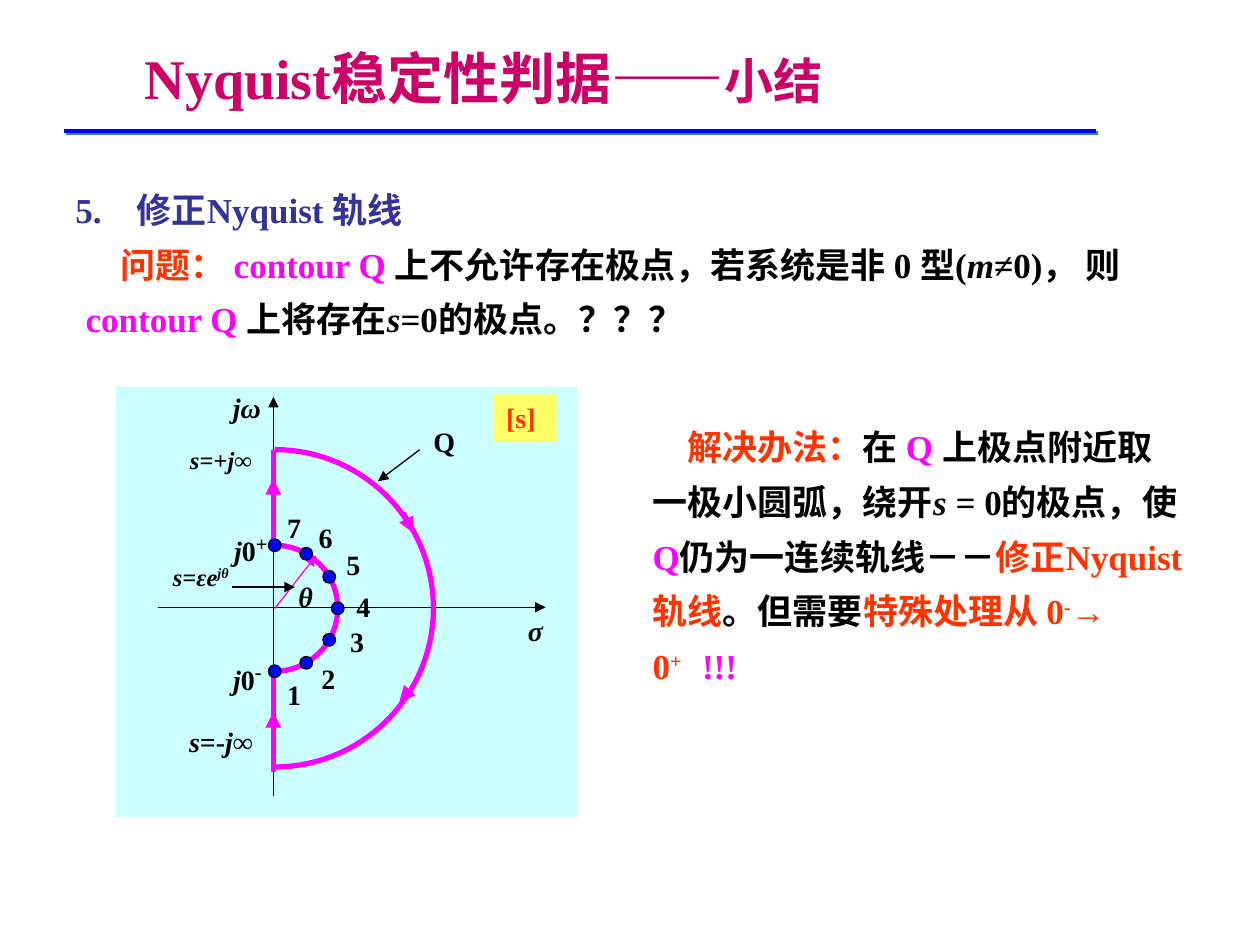
import math
import lxml.etree
import pptx
import pptx.dml.color
import pptx.enum.shapes
import pptx.enum.text
import pptx.oxml.ns
import pptx.util

Pt = pptx.util.Pt
qn = pptx.oxml.ns.qn
SHAPES = pptx.enum.shapes.MSO_SHAPE
ALIGN = pptx.enum.text.PP_ALIGN
ANCHOR = pptx.enum.text.MSO_ANCHOR
FIT = pptx.enum.text.MSO_AUTO_SIZE

THEME = {
    "font": "Times New Roman", "title font": "Montserrat",
    "title": 32, "subtitle": 28, "body": 20, "label": 16, "small": 14,
    "black": "000000", "blue": "0000FF", "green": "339933", "navy": "333399",
    "crimson": "CC0066", "red": "FF3300", "magenta": "FF00FF",
    "panel": "CCFFFF", "yellow": "FFFF66",
}


def rgb(name):
    """Return the theme colour of that name."""
    return pptx.dml.color.RGBColor.from_string(THEME[name])


def add_text(box, runs, size="label", frame=None, para=None, fill=None, indent=None):
    """Add a text box; each run is (text, colour, font values, baseline), ends optional."""
    textbox = slide.shapes.add_textbox(*map(Pt, box))
    if fill:
        textbox.fill.solid()
        textbox.fill.fore_color.rgb = rgb(fill)
    text_frame = textbox.text_frame
    for key, value in {"word_wrap": True, "auto_size": FIT.SHAPE_TO_FIT_TEXT, **(frame or {})}.items():
        setattr(text_frame, key, value)
    paragraph = text_frame.paragraphs[0]
    for key, value in (para or {}).items():
        setattr(paragraph, key, value)
    if indent:
        margin, first = indent
        properties = paragraph._p.get_or_add_pPr()
        properties.set("marL", str(Pt(margin)))
        properties.set("indent", str(Pt(first)))
    for text, colour, values, baseline in ((*r, *("black", {}, 0)[len(r) - 1:]) for r in runs):
        run = paragraph.add_run()
        run.text = text
        font = {"name": THEME["font"], "size": Pt(THEME[size]), "bold": True, **values}
        for key, value in font.items():
            setattr(run.font, key, value)
        run.font.color.rgb = rgb(colour)
        if baseline:
            run._r.get_or_add_rPr().set("baseline", str(baseline * 1000))


presentation = pptx.Presentation()
presentation.slide_width, presentation.slide_height = Pt(720), Pt(540)
slide = presentation.slides.add_slide(presentation.slide_layouts[6])
ITALIC = {"italic": True}
BODY = {"line_spacing": 1.3}
TIGHT = {"margin_left": Pt(1.4), "margin_right": Pt(1.4)}
CENTRED = {"alignment": ALIGN.CENTER}

# Heading and the two explanations
add_text((36, 97.2, 642.2, 38.9), [("5.\t修正Nyquist 轨线", "navy")],
         "body", para=BODY, indent=(35, -35))
add_text((41.8, 128.2, 642.2, 69.8), [
    ("问题： ", "red"), ("contour Q ", "magenta"),
    ("上不允许存在极点，若系统是非 0 型(",), ("m", "black", ITALIC), ("≠0)， 则",),
    ("contour Q ", "magenta"), ("上将存在",), ("s", "black", ITALIC), ("=0的极点。？？？",),
], "body", para=BODY, indent=(0, 20))
add_text((365.8, 232.6, 318.2, 163.4), [
    ("解决办法：", "red"), ("在 ",), ("Q ", "magenta"),
    ("上极点附近取一极小圆弧，绕开",), ("s ", "black", ITALIC), ("= 0的极点，使",),
    ("Q", "magenta"), ("仍为一连续轨线－－",), ("修正Nyquist 轨线", "red"),
    ("。但需要",), ("特殊处理从 0", "red"), ("-", "red", {}, 30), ("→ 0", "red"),
    ("+　", "red", {}, 30), ("!!!", "magenta"),
], "body", para=BODY, indent=(0, 20))

# Contour panel
panel = slide.shapes.add_shape(SHAPES.RECTANGLE, Pt(66.2), Pt(221), Pt(264.2), Pt(246.2))
panel.shadow.inherit = False
panel.fill.solid()
panel.fill.fore_color.rgb = rgb("panel")
panel.line.fill.background()

AXIS_X, AXIS_Y = 156.2, 347
lines = [  # start, end, colour, width, arrow
    ((36.7, 74.9), (626.4, 74.9), "blue", 2, False),
    ((90, AXIS_Y), (311.8, AXIS_Y), "black", 0.75, True),
    ((AXIS_X, 455), (AXIS_X, 226.8), "black", 0.75, True),
    ((AXIS_X, 311.8), (AXIS_X, 257), "magenta", 3, False),
    ((AXIS_X, 285.8), (AXIS_X, 273.6), "magenta", 3, True),
    ((234, 394.6), (228.2, 401), "magenta", 3, True),
    ((230.4, 293), (236.2, 304.6), "magenta", 3, True),
    ((AXIS_X, 419), (AXIS_X, 406.8), "magenta", 3, True),
    ((AXIS_X, 383), (AXIS_X, 441.4), "magenta", 3, False),
    ((239.8, 257), (216, 275), "black", 0.75, True),
    ((157, 347.8), (180.7, 317.5), "magenta", 0.75, True),
    ((132.5, 335.5), (168.5, 335.5), "black", 0.75, True),
]
for start, end, colour, width, arrow in lines:
    connector = slide.shapes.add_connector(
        pptx.enum.shapes.MSO_CONNECTOR.STRAIGHT, *map(Pt, start + end))
    connector.line.color.rgb = rgb(colour)
    connector.line.width = Pt(width)
    properties = connector._element.spPr
    if arrow:
        lxml.etree.SubElement(properties.find(qn("a:ln")), qn("a:tailEnd"), type="triangle")
    effects = lxml.etree.SubElement(properties, qn("a:effectLst"))
    if colour == "blue":
        shadow = lxml.etree.SubElement(effects, qn("a:outerShdw"), dist=str(Pt(1.4)),
                                       dir="2700000", algn="ctr", rotWithShape="0")
        lxml.etree.SubElement(shadow, qn("a:srgbClr"), val=THEME["green"])

# Half circles around the origin, with the seven points at 30 degree steps
CENTRE_X, CENTRE_Y, SMALL, LARGE, DOT = 157, 347.6, 36, 90.7, 7.2


def on_arc(radius, degrees):
    """Return the point on a circle around the origin, 0 degrees pointing right."""
    angle = math.radians(degrees)
    return CENTRE_X + radius * math.cos(angle), CENTRE_Y - radius * math.sin(angle)


for radius in (LARGE, SMALL):
    points = [tuple(map(Pt, on_arc(radius, degrees))) for degrees in range(-90, 91, 3)]
    builder = slide.shapes.build_freeform(*points[0])
    builder.add_line_segments(points[1:], close=False)
    contour = builder.convert_to_shape()
    contour.shadow.inherit = False
    contour.fill.background()
    contour.line.color.rgb = rgb("magenta")
    contour.line.width = Pt(3)

for degrees in range(-90, 91, 30):
    x, y = on_arc(SMALL, degrees)
    dot = slide.shapes.add_shape(SHAPES.OVAL, Pt(x - DOT / 2), Pt(y - DOT / 2), Pt(DOT), Pt(DOT))
    dot.shadow.inherit = False
    dot.fill.solid()
    dot.fill.fore_color.rgb = rgb("blue")
    dot.line.color.rgb = rgb("black")
    dot.line.width = Pt(0.75)

# Labels
number_places = [(162.7, 383.8), (182.2, 374.4), (198.7, 353.5), (202.3, 333.4),
                 (196.6, 309.6), (180.7, 293.8), (162.7, 288)]
for number, place in enumerate(number_places, 1):
    add_text((*place, 12.2, 26.6), [(str(number),)], frame=TIGHT)

SIGN = {"size": Pt(THEME["body"])}
S, J = ("s", "black", ITALIC), ("j", "black", ITALIC)
labels = [  # box, runs, size, paragraph values
    ((300.2, 347, 18, 26.6), [("σ", "black", ITALIC)], "label", {}),
    ((126, 219.6, 30.2, 26.6), [("jω", "black", ITALIC)], "label", CENTRED),
    ((102.2, 250.6, 48.2, 23.8), [S, ("=+",), J, ("∞",)], "small", CENTRED),
    ((102.2, 410.4, 48.2, 26.6), [S, ("=-",), J, ("∞",)], "label", CENTRED),
    ((131.8, 370.8, 23.8, 26.6), [J, ("0",), ("-", "black", SIGN, 30)], "label", {}),
    ((132.5, 297.4, 23.8, 26.6), [J, ("0",), ("+", "black", SIGN, 30)], "label", {}),
    ((246.2, 239, 18, 26.6), [("Q",)], "label", {}),
    ((90.7, 317.5, 48.2, 23.8),
     [S, ("=",), ("εe", "black", ITALIC), ("jθ", "black", ITALIC, 30)], "small", CENTRED),
    ((169.2, 327.6, 12.2, 26.6), [("θ", "black", ITALIC)], "label", {}),
]
for box, runs, size, para in labels:
    add_text(box, runs, size, TIGHT, para)
add_text((282.2, 225.4, 36, 26.6), [("[s]", "red")], fill="yellow")

# Title
add_text((75.6, 13, 585.4, 62.6), [
    ("Nyquist稳定性判据——", "crimson"),
    ("小结", "crimson", {"size": Pt(THEME["subtitle"]), "name": THEME["title font"]}),
], "title", {"vertical_anchor": ANCHOR.MIDDLE, "auto_size": FIT.NONE})

presentation.save("out.pptx")
